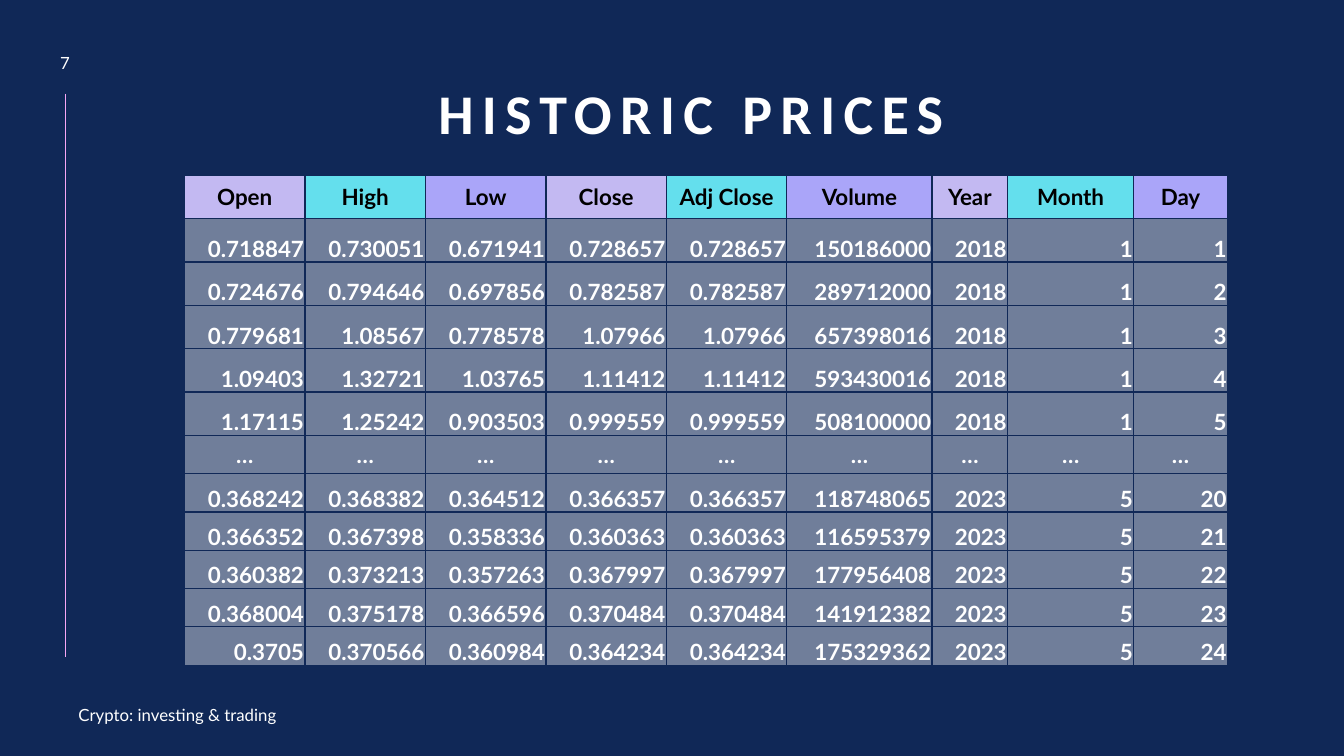
"""Build the historic prices slide with its table of daily quotes."""
import pptx
import pptx.dml.color
import pptx.enum.shapes
import pptx.enum.text
import pptx.oxml
import pptx.oxml.ns
import pptx.util

Inches, Pt = pptx.util.Inches, pptx.util.Pt
RGBColor = pptx.dml.color.RGBColor
ALIGN, ANCHOR = pptx.enum.text.PP_ALIGN, pptx.enum.text.MSO_ANCHOR

NAVY = RGBColor(0x10, 0x28, 0x57)
WHITE = RGBColor(0xFF, 0xFF, 0xFF)
BLACK = RGBColor(0, 0, 0)
PINK = RGBColor(0xF6, 0xA6, 0xF4)
SLATE = RGBColor(0x70, 0x7E, 0x9A)
HEADER_FILLS = [RGBColor(0xC3, 0xB9, 0xF2), RGBColor(0x64, 0xDF, 0xED), RGBColor(0xAA, 0xA5, 0xF9)]

TITLE = "HISTORIC PRICES"
PAGE_NUMBER = "7"
FOOTER = "Crypto: investing & trading"
HEADERS = ["Open", "High", "Low", "Close", "Adj Close", "Volume", "Year", "Month", "Day"]
FIRST_DAYS = [
    ("0.718847", "0.730051", "0.671941", "0.728657", "0.728657", "150186000", "2018", "1", "1"),
    ("0.724676", "0.794646", "0.697856", "0.782587", "0.782587", "289712000", "2018", "1", "2"),
    ("0.779681", "1.08567", "0.778578", "1.07966", "1.07966", "657398016", "2018", "1", "3"),
    ("1.09403", "1.32721", "1.03765", "1.11412", "1.11412", "593430016", "2018", "1", "4"),
    ("1.17115", "1.25242", "0.903503", "0.999559", "0.999559", "508100000", "2018", "1", "5"),
]
GAP = "…"
LAST_DAYS = [
    ("0.368242", "0.368382", "0.364512", "0.366357", "0.366357", "118748065", "2023", "5", "20"),
    ("0.366352", "0.367398", "0.358336", "0.360363", "0.360363", "116595379", "2023", "5", "21"),
    ("0.360382", "0.373213", "0.357263", "0.367997", "0.367997", "177956408", "2023", "5", "22"),
    ("0.368004", "0.375178", "0.366596", "0.370484", "0.370484", "141912382", "2023", "5", "23"),
    ("0.3705", "0.370566", "0.360984", "0.364234", "0.364234", "175329362", "2023", "5", "24"),
]
ROWS = [HEADERS, *FIRST_DAYS, [GAP] * len(HEADERS), *LAST_DAYS]
COLUMN_WIDTHS = [1.195] * 5 + [1.44, 0.75, 1.25, 0.93]
TALL_ROWS = 1 + len(FIRST_DAYS)
ROW_HEIGHTS = [0.43] * TALL_ROWS + [0.38] * (len(ROWS) - TALL_ROWS)


def style(para, size, font, color, bold=False, align=ALIGN.LEFT):
    para.alignment = align
    para.font.size, para.font.name, para.font.bold = Pt(size), font, bold
    para.font.color.rgb = color


def add_text(page, text, place, size, font, bold=False, align=ALIGN.LEFT, anchor=ANCHOR.MIDDLE):
    box = page.shapes.add_textbox(*map(Inches, place))
    frame = box.text_frame
    frame.word_wrap, frame.vertical_anchor = True, anchor
    para = frame.paragraphs[0]
    para.text = text
    style(para, size, font, WHITE, bold, align)
    return para


def add_borders(cell):
    properties = cell._tc.get_or_add_tcPr()
    for index, side in enumerate(("lnL", "lnR", "lnT", "lnB")):
        border = pptx.oxml.parse_xml(
            f'<a:{side} {pptx.oxml.ns.nsdecls("a")} w="{Pt(1)}"><a:solidFill>'
            f'<a:srgbClr val="{NAVY}"/></a:solidFill></a:{side}>')
        properties.insert(index, border)


def fill_cell(cell, text, row, column):
    is_header = row == 0
    is_number = not is_header and text != GAP
    cell.text = text
    cell.fill.solid()
    cell.fill.fore_color.rgb = HEADER_FILLS[column % len(HEADER_FILLS)] if is_header else SLATE
    cell.vertical_anchor = ANCHOR.BOTTOM if is_number else ANCHOR.MIDDLE
    if is_number:
        cell.margin_left = cell.margin_right = cell.margin_top = Inches(0.01)
        cell.margin_bottom = 0
    style(cell.text_frame.paragraphs[0], 16, "Lato", BLACK if is_header else WHITE, True,
          ALIGN.RIGHT if is_number else ALIGN.CENTER)
    add_borders(cell)


def add_price_table(page):
    frame = page.shapes.add_table(len(ROWS), len(HEADERS), Inches(1.83), Inches(1.74),
                                  Inches(sum(COLUMN_WIDTHS)), Inches(sum(ROW_HEIGHTS)))
    table = frame.table
    table.horz_banding = False
    for column, width in zip(table.columns, COLUMN_WIDTHS):
        column.width = Inches(width)
    for row, height in zip(table.rows, ROW_HEIGHTS):
        row.height = Inches(height)
    for row, texts in enumerate(ROWS):
        for column, text in enumerate(texts):
            fill_cell(table.cell(row, column), text, row, column)


deck = pptx.Presentation()
deck.slide_width, deck.slide_height = Inches(13.33), Inches(7.5)
page = deck.slides.add_slide(deck.slide_layouts[6])
page.background.fill.solid()
page.background.fill.fore_color.rgb = NAVY

side_line = page.shapes.add_connector(pptx.enum.shapes.MSO_CONNECTOR.STRAIGHT,
                                      Inches(0.65), Inches(0.93), Inches(0.65), Inches(6.52))
side_line.line.color.rgb = PINK
side_line.line.width = Pt(0.5)
side_line._element.spPr.append(
    pptx.oxml.parse_xml(f'<a:effectLst {pptx.oxml.ns.nsdecls("a")}/>'))

add_text(page, PAGE_NUMBER, (0.36, 0.45, 0.57, 0.34), 12, "Lato", align=ALIGN.CENTER)
add_text(page, FOOTER, (0.68, 6.94, 2.55, 0.3), 12, "Lato")
add_price_table(page)
title = add_text(page, TITLE, (1.49, 0.62, 10.73, 0.88), 40, "Calibri", True,
                 ALIGN.CENTER, ANCHOR.BOTTOM)
title.line_spacing = 0.9
title.runs[0].font._element.set("spc", "600")

deck.save("out.pptx")
